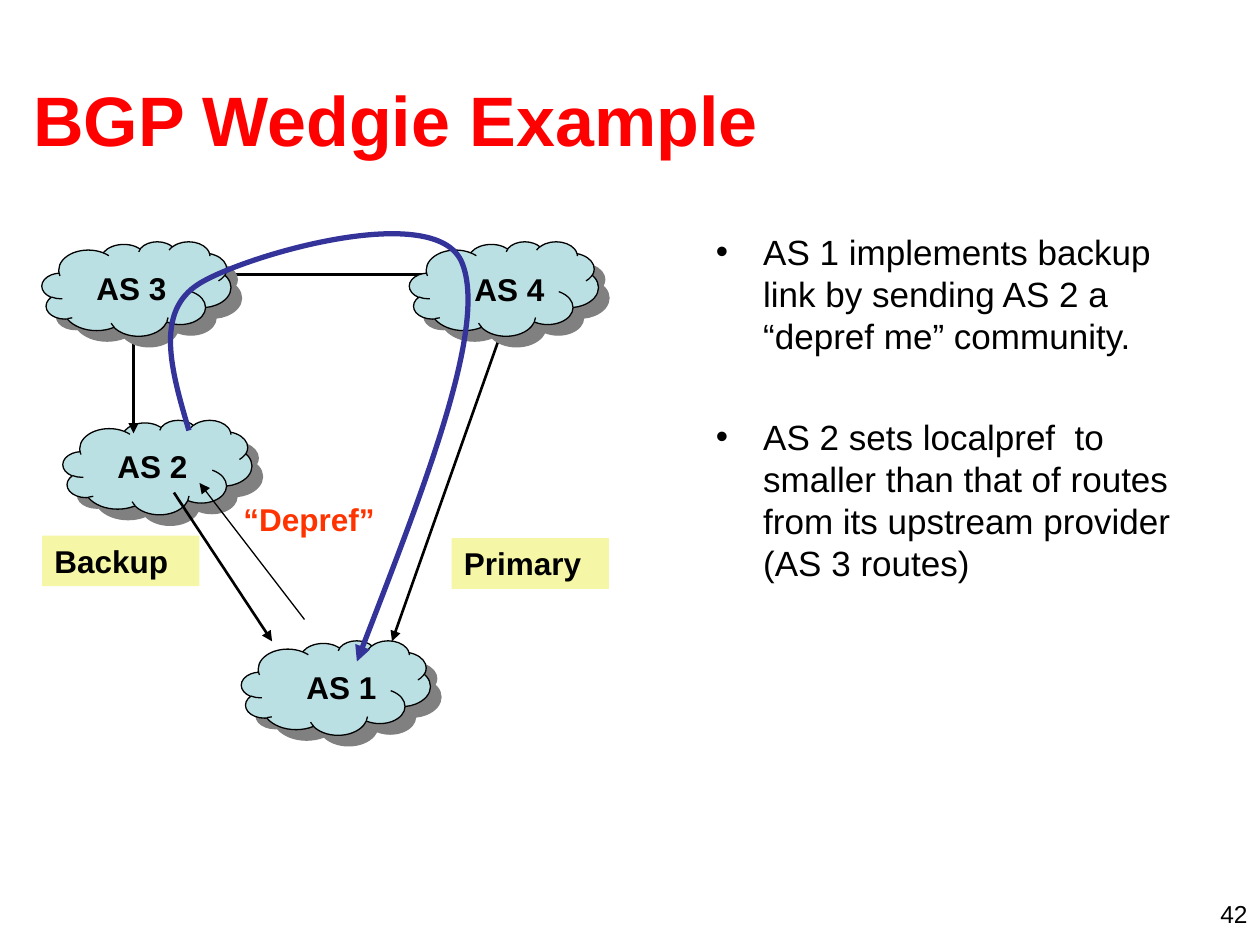
from lxml.etree import SubElement
from pptx import Presentation
from pptx.dml.color import RGBColor
from pptx.enum.shapes import MSO_CONNECTOR, MSO_SHAPE
from pptx.enum.text import MSO_ANCHOR, PP_ALIGN
from pptx.oxml.ns import qn
from pptx.util import Pt

COLORS = {
    "title": "FF0000",
    "text": "000000",
    "cloud": "BBE0E3",
    "shadow": "808080",
    "tag": "F5F7A7",
    "depref": "FF3300",
    "route": "333399",
}
LABEL = {"name": "Arial", "size": Pt(18), "bold": True}
CLOUD_SIZE = (108, 54)
NAME_SIZE = (60, 29)
CLOUDS = {
    "AS 2": ((12, 126), (24, 12)),
    "AS 1": ((114, 252), (30, 12)),
    "AS 3": ((0, 24), (24, 12)),
    "AS 4": ((210, 24), (30, 13)),
}
LINKS = [
    ((103.5, 43), (234, 43), 1.5, False),
    ((52.3, 59.5), (52.3, 133.7), 1.5, True),
    ((75.4, 167.5), (131.5, 252.5), 1.5, True),
    ((268.3, 59.5), (200, 252.5), 1.5, True),
    ((150, 240), (90, 162), 0.75, True),
]
TAGS = [
    ("Backup", 0, 192, "text", "tag"),
    ("Primary", 234, 193.5, "text", "tag"),
    ("“Depref”", 108, 168, "depref", None),
]
ROUTE = [
    (84, 132), (74, 98), (64, 64), (90, 48), (116, 32),
    (225, 0), (240, 36), (255, 72), (217, 168), (180, 264),
]
BULLETS = [
    "AS 1 implements backup link by sending AS 2 a “depref me” community.",
    "AS 2 sets localpref  to smaller than that of routes from its upstream provider (AS 3 routes)",
]


def color(name):
    """Return the named palette colour."""
    return RGBColor.from_string(COLORS[name])


def set_values(target, values):
    """Set every attribute of the target from a dict."""
    for name, value in values.items():
        setattr(target, name, value)


def write(paragraph, text, font, color_name="text"):
    """Add a formatted run to a paragraph."""
    run = paragraph.add_run()
    run.text = text
    set_values(run.font, font)
    run.font.color.rgb = color(color_name)


def add_text(slide, box, text, font, color_name="text", frame=None, align=PP_ALIGN.LEFT):
    """Add a text box with one paragraph and return it."""
    shape = slide.shapes.add_textbox(*map(Pt, box))
    set_values(shape.text_frame, {"word_wrap": True, **(frame or {})})
    paragraph = shape.text_frame.paragraphs[0]
    paragraph.alignment = align
    write(paragraph, text, font, color_name)
    return shape


def style_line(shape, color_name, width, arrow):
    """Style a line and give it an arrowhead when asked."""
    shape.line.color.rgb = color(color_name)
    shape.line.width = Pt(width)
    if arrow:
        SubElement(shape.line._get_or_add_ln(), qn("a:tailEnd"), type="triangle")


def add_cloud(slide, left, top):
    """Draw a cloud with a hard offset shadow."""
    shape = slide.shapes.add_shape(MSO_SHAPE.CLOUD, Pt(left), Pt(top), *map(Pt, CLOUD_SIZE))
    shape.fill.solid()
    shape.fill.fore_color.rgb = color("cloud")
    style_line(shape, "text", 0.75, False)
    effects = SubElement(shape._element.spPr, qn("a:effectLst"))
    shadow = SubElement(effects, qn("a:outerShdw"), dist=str(Pt(8.5)), dir="2700000", rotWithShape="0")
    SubElement(shadow, qn("a:srgbClr"), val=COLORS["shadow"])


def add_link(slide, start, end, width, arrow):
    """Draw a straight link between two points."""
    connector = slide.shapes.add_connector(MSO_CONNECTOR.STRAIGHT, *map(Pt, start + end))
    style_line(connector, "text", width, arrow)
    SubElement(connector._element.spPr, qn("a:effectLst"))


def add_route(slide, points):
    """Draw a smooth open route through cubic control points."""
    builder = slide.shapes.build_freeform(*map(Pt, points[0]))
    builder.add_line_segments([tuple(map(Pt, point)) for point in points[1:]], close=False)
    shape = builder.convert_to_shape()
    segments = list(shape._element.iter(qn("a:lnTo")))
    outline = segments[0].getparent()
    for first in range(0, len(segments), 3):
        curve = SubElement(outline, qn("a:cubicBezTo"))
        for segment in segments[first:first + 3]:
            curve.append(segment[0])
            outline.remove(segment)
    shape.fill.background()
    style_line(shape, "route", 3, True)
    shape.shadow.inherit = False


def add_diagram(slide, left, top):
    """Place the network of clouds, links, tags and the route."""
    def place(point):
        """Move a point into the diagram."""
        return (left + point[0], top + point[1])

    add_cloud(slide, *place(CLOUDS["AS 2"][0]))
    for start, end, width, arrow in LINKS:
        add_link(slide, place(start), place(end), width, arrow)
    for text, x, y, color_name, fill in TAGS:
        tag = add_text(slide, (*place((x, y)), 90, 29), text, LABEL, color_name)
        if fill:
            tag.fill.solid()
            tag.fill.fore_color.rgb = color(fill)
    for name, (corner, _) in CLOUDS.items():
        if name != "AS 2":
            add_cloud(slide, *place(corner))
    for name, (corner, offset) in CLOUDS.items():
        x, y = place(corner)
        add_text(slide, (x + offset[0], y + offset[1], *NAME_SIZE), name, LABEL)
    add_route(slide, [place(point) for point in ROUTE])


def add_bullets(slide, box):
    """Place the bulleted explanation."""
    frame = slide.shapes.add_textbox(*map(Pt, box)).text_frame
    frame.word_wrap = True
    for index, text in enumerate(BULLETS):
        paragraph = frame.add_paragraph() if index else frame.paragraphs[0]
        if index:
            paragraph.space_before = Pt(34)
        properties = paragraph._p.get_or_add_pPr()
        properties.set("marL", str(Pt(27)))
        properties.set("indent", str(Pt(-27)))
        SubElement(properties, qn("a:buFont"), typeface="Arial")
        SubElement(properties, qn("a:buChar"), char="•")
        write(paragraph, text, {"name": "Arial", "size": Pt(20)})


def main():
    """Build and save the slide."""
    presentation = Presentation()
    set_values(presentation, {"slide_width": Pt(720), "slide_height": Pt(540)})
    slide = presentation.slides.add_slide(presentation.slide_layouts[6])
    add_text(slide, (12, 23, 690, 90), "BGP Wedgie Example",
             {"name": "Arial", "size": Pt(40), "bold": True}, "title",
             {"vertical_anchor": MSO_ANCHOR.MIDDLE})
    add_bullets(slide, (402, 128, 278, 306))
    add_diagram(slide, 24, 114)
    add_text(slide, (552, 510, 168, 18), "42", {"name": "Arial", "size": Pt(14)}, align=PP_ALIGN.RIGHT)
    presentation.save("out.pptx")


if __name__ == "__main__":
    main()
